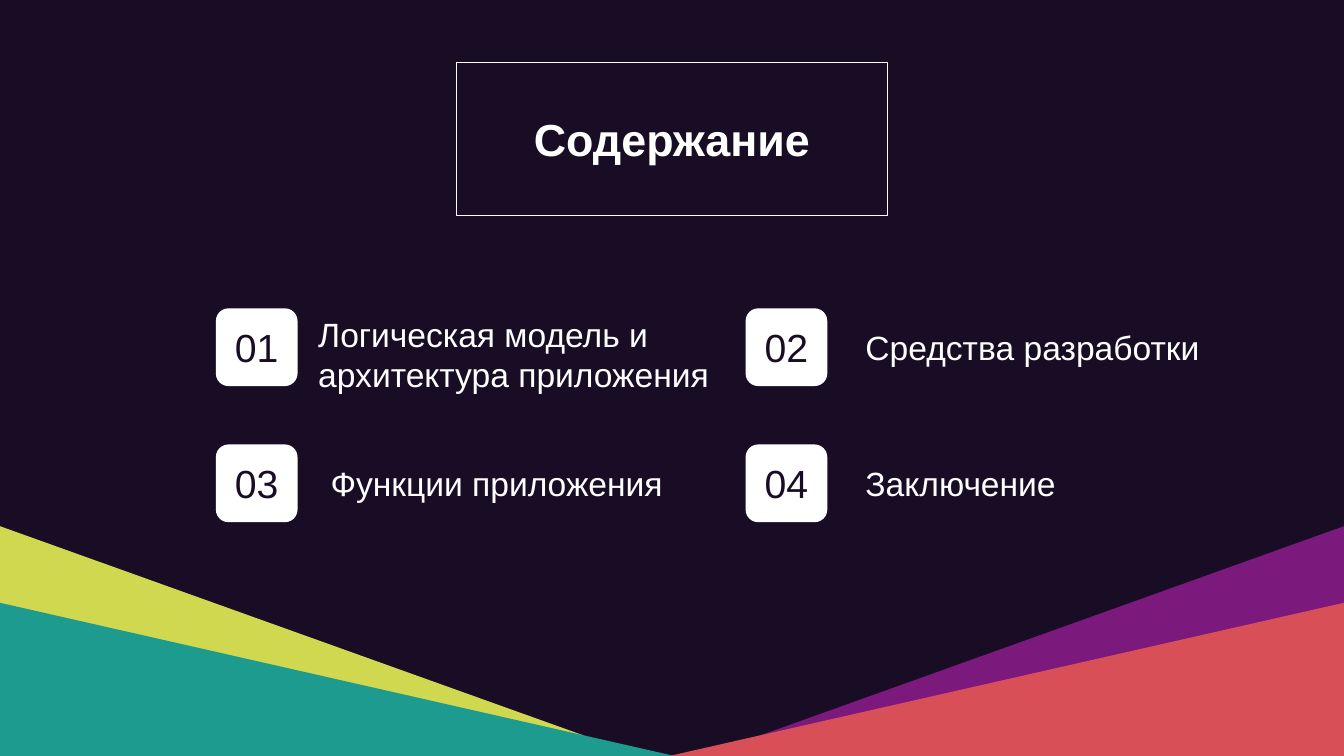
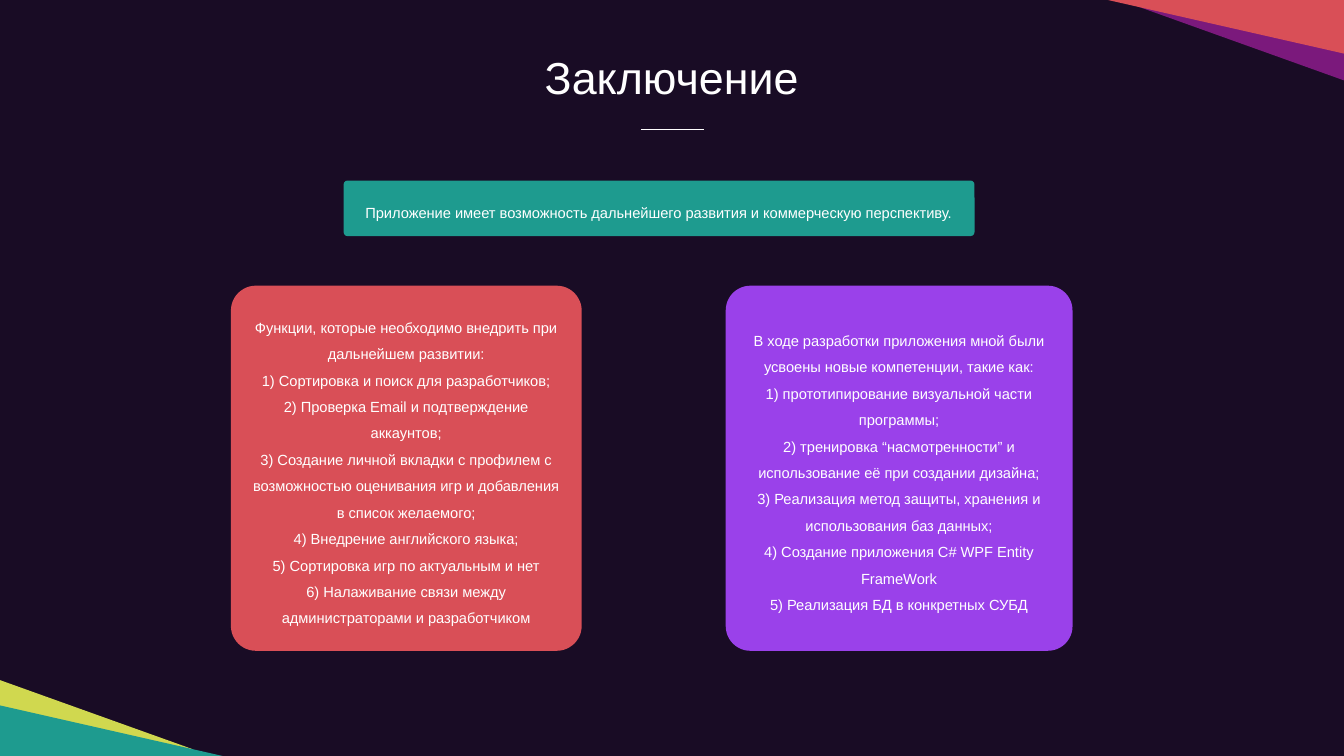
from dataclasses import dataclass

import lxml.etree
import pptx
import pptx.dml.color
import pptx.enum.shapes
import pptx.enum.text
import pptx.oxml.ns
import pptx.presentation
import pptx.shapes.autoshape
import pptx.slide
import pptx.text.text
import pptx.util

Cm = pptx.util.Cm
RGBColor = pptx.dml.color.RGBColor
Shapes = pptx.enum.shapes.MSO_SHAPE
Align = pptx.enum.text.PP_ALIGN

NIGHT = RGBColor(0x19, 0x0C, 0x25)
WHITE = RGBColor(0xFF, 0xFF, 0xFF)
LIME = RGBColor(0xD0, 0xD8, 0x4F)
TEAL = RGBColor(0x1E, 0x9B, 0x8F)
PLUM = RGBColor(0x7B, 0x19, 0x7C)
CORAL = RGBColor(0xD9, 0x4F, 0x57)
VIOLET = RGBColor(0x9A, 0x41, 0xEA)

FONT = "Arial"
SLIDE_WIDTH, SLIDE_HEIGHT = 33.87, 19.05


@dataclass(frozen=True)
class Frame:
    """A rectangle in centimetres."""
    left: float
    top: float
    width: float
    height: float

    def lengths(self) -> tuple:
        return Cm(self.left), Cm(self.top), Cm(self.width), Cm(self.height)


@dataclass(frozen=True)
class Corner:
    """Two overlapping wedges growing out of one slide corner."""
    right: bool
    top: bool
    scale: float
    back: RGBColor
    front: RGBColor


@dataclass(frozen=True)
class Entry:
    """One line of the contents; drop lowers the label from the badge centre."""
    text: str
    label_left: float
    drop: float = 0


@dataclass(frozen=True)
class Card:
    frame: Frame
    fill: RGBColor
    lines: tuple


# Shared parts

def format_text(frame: pptx.text.text.TextFrame, text: str, size: float, color: RGBColor,
                align: Align, bold: bool = False, spacing: float = 1.0) -> None:
    frame.text = text
    frame.word_wrap = True
    frame.auto_size = pptx.enum.text.MSO_AUTO_SIZE.NONE
    frame.vertical_anchor = pptx.enum.text.MSO_ANCHOR.MIDDLE
    for para in frame.paragraphs:
        para.alignment = align
        para.line_spacing = spacing
        for span in para.runs:
            span.font.name = FONT
            span.font.size = pptx.util.Pt(size)
            span.font.bold = bold
            span.font.color.rgb = color


def paint(shape: pptx.shapes.autoshape.Shape, color: RGBColor) -> None:
    shape.shadow.inherit = False
    shape.fill.solid()
    shape.fill.fore_color.rgb = color
    shape.line.fill.background()


def add_round_box(page: pptx.slide.Slide, frame: Frame, color: RGBColor,
                  rounding: float) -> pptx.shapes.autoshape.Shape:
    box = page.shapes.add_shape(Shapes.ROUNDED_RECTANGLE, *frame.lengths())
    box.adjustments[0] = rounding
    paint(box, color)
    return box


def add_corner(page: pptx.slide.Slide, corner: Corner) -> None:
    def point(across: float, inward: float) -> tuple:
        x, y = across * corner.scale, inward * corner.scale
        return (Cm(SLIDE_WIDTH - x if corner.right else x),
                Cm(y if corner.top else SLIDE_HEIGHT - y))

    # Thin wedge behind
    builder = page.shapes.build_freeform(*point(0, 1.93))
    builder.add_line_segments([point(0, 5.79), point(14.73, 0.51)], close=True)
    paint(builder.convert_to_shape(), corner.back)

    # Right triangle in front
    width, height = 17 * corner.scale, 3.86 * corner.scale
    frame = Frame(SLIDE_WIDTH - width if corner.right else 0,
                  0 if corner.top else SLIDE_HEIGHT - height, width, height)
    triangle = page.shapes.add_shape(Shapes.RIGHT_TRIANGLE, *frame.lengths())
    transform = triangle._element.spPr.xfrm
    transform.set("flipH", str(int(corner.right)))
    transform.set("flipV", str(int(corner.top)))
    paint(triangle, corner.front)


def add_page(deck: pptx.presentation.Presentation, title: str, title_frame: Frame,
             corners: tuple, bold: bool = False) -> pptx.slide.Slide:
    page = deck.slides.add_slide(deck.slide_layouts.get_by_name("Title Only"))
    page.background.fill.solid()
    page.background.fill.fore_color.rgb = NIGHT
    for corner in corners:
        add_corner(page, corner)
    heading = page.shapes.title
    heading.left, heading.top, heading.width, heading.height = title_frame.lengths()
    format_text(heading.text_frame, title, 32, WHITE, Align.CENTER, bold)
    return page


# Contents slide

ENTRIES = (
    Entry("Логическая модель и архитектура приложения", 7.77, 0.18),
    Entry("Средства разработки", 21.56),
    Entry("Функции приложения", 8.08),
    Entry("Заключение", 21.56),
)


def add_contents(deck: pptx.presentation.Presentation) -> None:
    corners = (Corner(False, False, 1, LIME, TEAL), Corner(True, False, 1, PLUM, CORAL))
    page = add_page(deck, "Содержание", Frame(11.5, 1.57, 10.87, 3.86), corners, bold=True)
    page.shapes.title.line.color.rgb = WHITE
    page.shapes.title.line.width = pptx.util.Pt(1)

    for index, entry in enumerate(ENTRIES):
        row, column = divmod(index, 2)
        cell = Frame(5.44 + 13.35 * column, 7.77 + 3.43 * row, 2.06, 1.96)
        badge = add_round_box(page, cell, WHITE, 0.163)
        format_text(badge.text_frame, f"{index + 1:02d}", 28, NIGHT, Align.CENTER)
        label_frame = Frame(entry.label_left, cell.top + entry.drop, 10.57, cell.height)
        label = page.shapes.add_textbox(*label_frame.lengths())
        format_text(label.text_frame, entry.text, 24, WHITE, Align.LEFT)


# Conclusion slide

CARDS = (
    Card(Frame(8.66, 4.55, 15.9, 1.4), TEAL, (
        "Приложение имеет возможность дальнейшего развития и коммерческую перспективу.",
    )),
    Card(Frame(5.82, 7.2, 8.84, 9.2), CORAL, (
        "Функции, которые необходимо внедрить при дальнейшем развитии:",
        "1) Сортировка и поиск для разработчиков;",
        "2) Проверка Email и подтверждение аккаунтов;",
        "3) Создание личной вкладки с профилем с возможностью оценивания игр "
        "и добавления в список желаемого;",
        "4) Внедрение английского языка;",
        "5) Сортировка игр по актуальным и нет",
        "6) Налаживание связи между администраторами и разработчиком",
    )),
    Card(Frame(18.29, 7.2, 8.74, 9.2), VIOLET, (
        "В ходе разработки приложения мной были усвоены новые компетенции, такие как:",
        "1) прототипирование визуальной части программы;",
        "2) тренировка “насмотренности” и использование её при создании дизайна;",
        "3) Реализация метод защиты, хранения и использования баз данных;",
        "4) Создание приложения C# WPF Entity FrameWork",
        "5) Реализация БД в конкретных СУБД",
    )),
)


def add_conclusion(deck: pptx.presentation.Presentation) -> None:
    corners = (Corner(False, False, 0.33, LIME, TEAL), Corner(True, True, 0.35, PLUM, CORAL))
    page = add_page(deck, "Заключение", Frame(11.61, 1.12, 10.64, 1.63), corners)

    # Short rule under the title
    rule = page.shapes.add_connector(pptx.enum.shapes.MSO_CONNECTOR.STRAIGHT,
                                     Cm(16.15), Cm(3.27), Cm(17.73), Cm(3.27))
    rule.line.color.rgb = WHITE
    rule.line.width = pptx.util.Pt(0.5)
    lxml.etree.SubElement(rule._element.spPr, pptx.oxml.ns.qn("a:effectLst"))

    for card in CARDS:
        box = add_round_box(page, card.frame, card.fill, 0.071)
        box.text_frame.margin_left = box.text_frame.margin_right = Cm(0.3)
        format_text(box.text_frame, "\n".join(card.lines), 10.5, WHITE, Align.CENTER, spacing=1.5)


def main() -> None:
    deck = pptx.Presentation()
    deck.slide_width, deck.slide_height = Cm(SLIDE_WIDTH), Cm(SLIDE_HEIGHT)
    add_contents(deck)
    add_conclusion(deck)
    deck.save("out.pptx")


if __name__ == "__main__":
    main()
